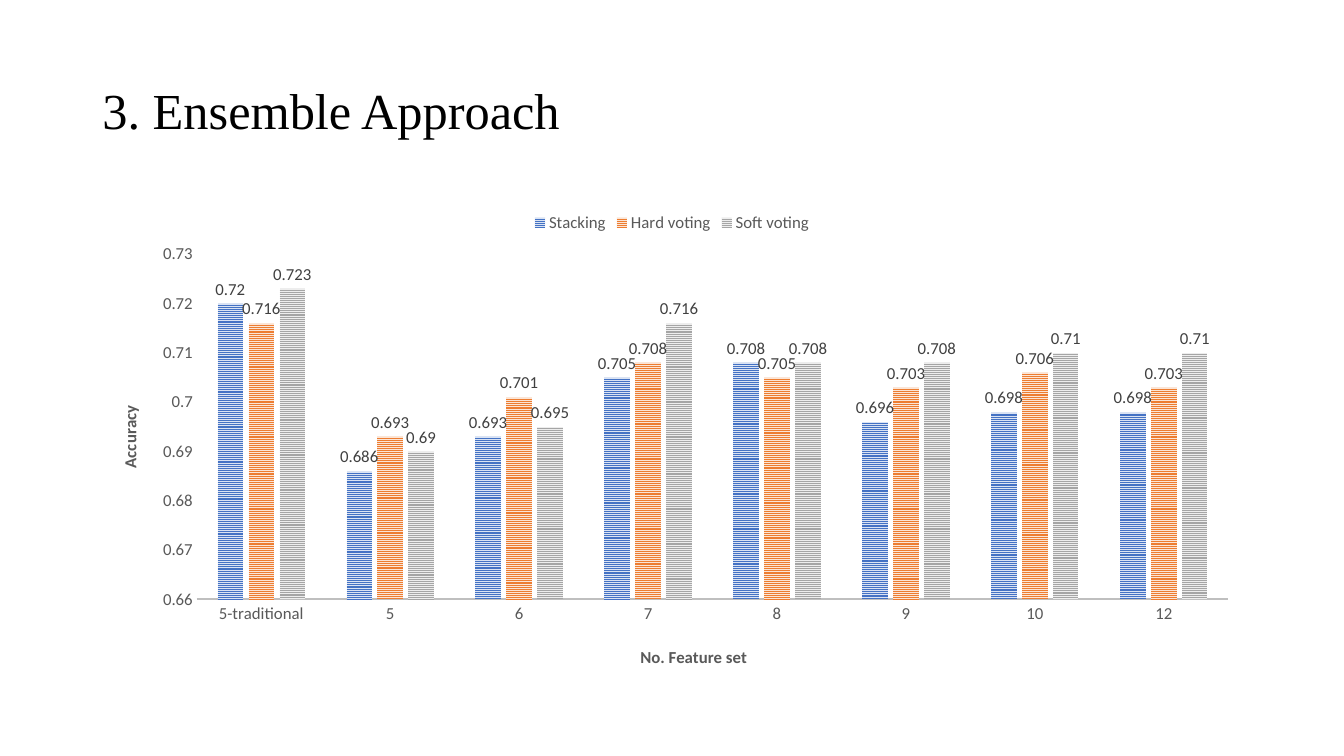
from dataclasses import dataclass
from typing import Any

from lxml.etree import SubElement
from pptx import Presentation
from pptx.chart.chart import Chart
from pptx.chart.data import CategoryChartData
from pptx.dml.color import RGBColor
from pptx.enum.chart import XL_CHART_TYPE, XL_LABEL_POSITION, XL_LEGEND_POSITION, XL_TICK_MARK
from pptx.enum.dml import MSO_PATTERN
from pptx.enum.text import MSO_ANCHOR
from pptx.oxml import parse_xml
from pptx.oxml.ns import nsdecls, qn
from pptx.slide import Slide
from pptx.util import Cm, Pt

BLACK = RGBColor(0x00, 0x00, 0x00)
DARK_GRAY = RGBColor(0x40, 0x40, 0x40)
GRAY = RGBColor(0x59, 0x59, 0x59)
AXIS_GRAY = RGBColor(0xBF, 0xBF, 0xBF)

LEFT, WIDTH = Cm(2.33), Cm(29.21)
CATEGORIES = ["5-traditional", "5", "6", "7", "8", "9", "10", "12"]


@dataclass
class VotingSeries:
    name: str
    values: list[float]
    foreground: RGBColor
    background: RGBColor


@dataclass
class AxisTitle:
    text: str
    horizontal: float
    vertical: float


SERIES = [
    VotingSeries("Stacking", [0.72, 0.686, 0.693, 0.705, 0.708, 0.696, 0.698, 0.698],
                 RGBColor(0x44, 0x72, 0xC4), RGBColor(0xDA, 0xE3, 0xF3)),
    VotingSeries("Hard voting", [0.716, 0.693, 0.701, 0.708, 0.705, 0.703, 0.706, 0.703],
                 RGBColor(0xED, 0x7D, 0x31), RGBColor(0xFB, 0xE5, 0xD6)),
    VotingSeries("Soft voting", [0.723, 0.69, 0.695, 0.716, 0.708, 0.708, 0.71, 0.71],
                 RGBColor(0xA5, 0xA5, 0xA5), RGBColor(0xED, 0xED, 0xED)),
]
CATEGORY_TITLE = AxisTitle("No. Feature set", 0.47, 0.92)
VALUE_TITLE = AxisTitle("Accuracy", 0.02, 0.42)


def apply_format(target: Any, values: dict[str, Any]) -> None:
    for name, value in values.items():
        setattr(target, name, value)


def style_font(font: Any, color: RGBColor, size: float = 12,
               name: str = "Calibri", bold: bool = False) -> None:
    apply_format(font, {"name": name, "size": Pt(size), "bold": bold})
    font.color.rgb = color


def set_layout(parent: Any, index: int, values: dict[str, Any]) -> None:
    for existing in parent.findall(qn("c:layout")):
        parent.remove(existing)
    layout = parse_xml(f"<c:layout {nsdecls('c')}/>")
    manual = SubElement(layout, qn("c:manualLayout"))
    for name, value in values.items():
        SubElement(manual, qn(f"c:{name}")).set("val", str(value))
    parent.insert(index, layout)


def style_axis(axis: Any, title: AxisTitle) -> None:
    apply_format(axis, {"has_major_gridlines": False, "has_title": True,
                        "major_tick_mark": XL_TICK_MARK.NONE,
                        "minor_tick_mark": XL_TICK_MARK.NONE})
    style_font(axis.tick_labels.font, GRAY)
    paragraph = axis.axis_title.text_frame.paragraphs[0]
    run = paragraph.add_run()
    run.text = title.text
    style_font(run.font, GRAY, bold=True)
    set_layout(axis.axis_title.element, 1, {
        "xMode": "edge", "yMode": "edge", "x": title.horizontal, "y": title.vertical})


def style_series(chart: Chart) -> None:
    plot = chart.plots[0]
    apply_format(plot, {"gap_width": 164, "overlap": -22, "vary_by_categories": False})
    for series, voting in zip(plot.series, SERIES):
        series.invert_if_negative = False
        fill = series.format.fill
        fill.patterned()
        fill.pattern = MSO_PATTERN.NARROW_HORIZONTAL
        fill.fore_color.rgb = voting.foreground
        fill.back_color.rgb = voting.background
        labels = series.data_labels
        apply_format(labels, {"show_value": True, "position": XL_LABEL_POSITION.OUTSIDE_END})
        style_font(labels.font, DARK_GRAY)


def add_title(slide: Slide) -> None:
    shape = slide.shapes.add_textbox(LEFT, Cm(1.01), WIDTH, Cm(3.68))
    apply_format(shape.text_frame, {"word_wrap": True, "vertical_anchor": MSO_ANCHOR.MIDDLE})
    paragraph = shape.text_frame.paragraphs[0]
    paragraph.line_spacing = 0.9
    run = paragraph.add_run()
    run.text = "3. Ensemble Approach"
    style_font(run.font, BLACK, 36, "Times New Roman")


def add_accuracy_chart(slide: Slide) -> None:
    data = CategoryChartData()
    data.categories = CATEGORIES
    for voting in SERIES:
        data.add_series(voting.name, voting.values)
    chart = slide.shapes.add_chart(
        XL_CHART_TYPE.COLUMN_CLUSTERED, LEFT, Cm(5.07), WIDTH, Cm(12.09), data).chart
    apply_format(chart, {"has_title": False, "has_legend": True})
    style_font(chart.font, BLACK, 10)
    apply_format(chart.legend, {"position": XL_LEGEND_POSITION.TOP, "include_in_layout": False})
    style_font(chart.legend.font, GRAY)
    style_series(chart)
    style_axis(chart.category_axis, CATEGORY_TITLE)
    style_axis(chart.value_axis, VALUE_TITLE)
    chart.category_axis.format.line.color.rgb = AXIS_GRAY
    chart.category_axis.format.line.width = Pt(1.5)
    chart.value_axis.format.line.fill.background()
    apply_format(chart.value_axis, {"minimum_scale": 0.66, "maximum_scale": 0.73,
                                    "major_unit": 0.01})
    plot_area = chart.element.find(f".//{qn('c:plotArea')}")
    set_layout(plot_area, 0, {
        "layoutTarget": "inner", "xMode": "edge", "yMode": "edge",
        "x": 0.09, "y": 0.11, "w": 0.89, "h": 0.72})


def main() -> None:
    presentation = Presentation()
    apply_format(presentation, {"slide_width": Cm(33.87), "slide_height": Cm(19.05)})
    slide = presentation.slides.add_slide(presentation.slide_layouts[6])
    add_title(slide)
    add_accuracy_chart(slide)
    presentation.save("out.pptx")


if __name__ == "__main__":
    main()
